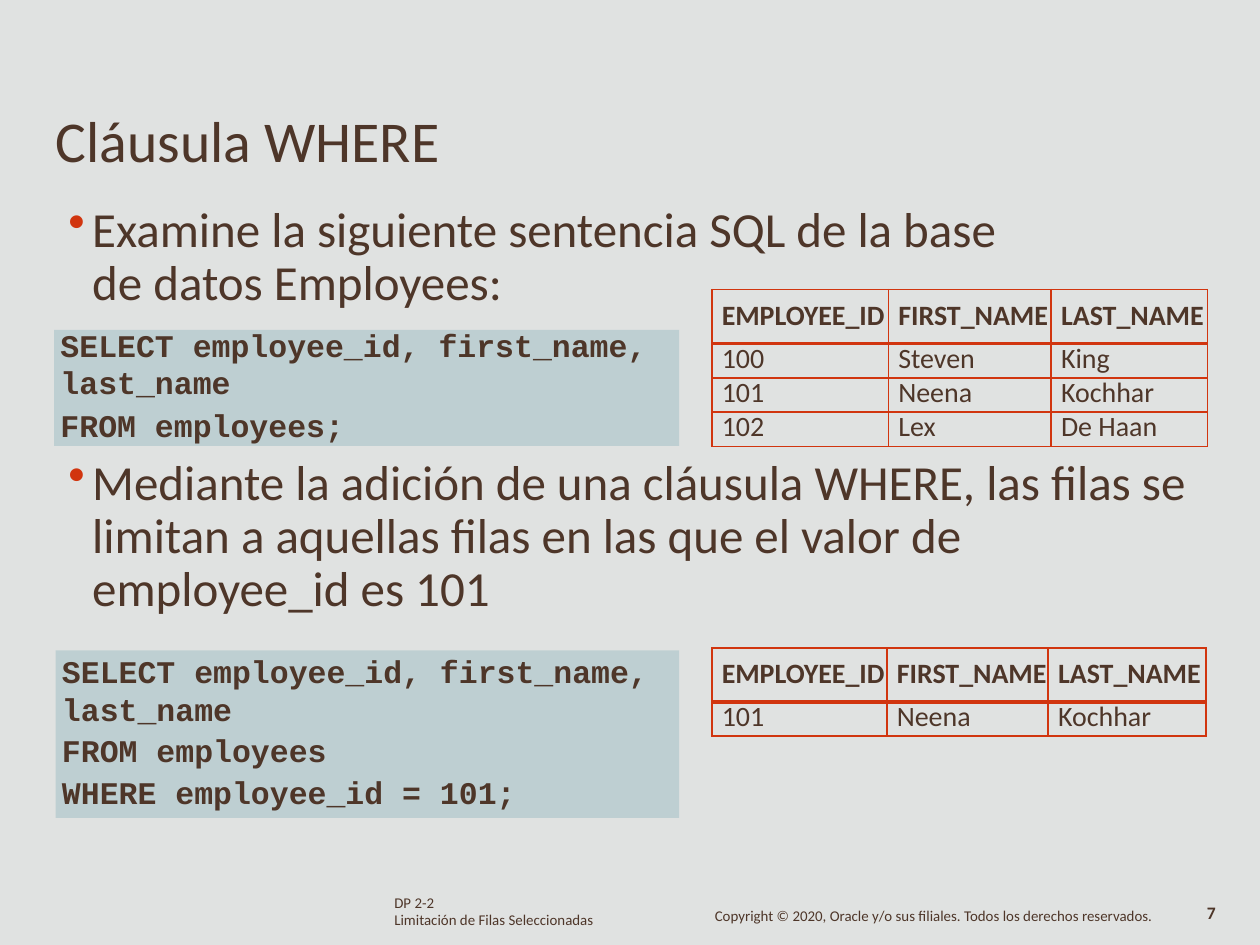
from dataclasses import dataclass

from lxml import etree
from pptx import Presentation
from pptx.dml.color import RGBColor
from pptx.enum.shapes import MSO_SHAPE
from pptx.enum.text import MSO_ANCHOR, MSO_AUTO_SIZE, PP_ALIGN
from pptx.oxml.ns import qn
from pptx.util import Cm, Pt

RECTANGLE = MSO_SHAPE.RECTANGLE
TOP = MSO_ANCHOR.TOP
NO_AUTOFIT = MSO_AUTO_SIZE.NONE
LEFT = PP_ALIGN.LEFT

BROWN = "4E3629"
RED = "D1350F"
TEAL = "9DBEC4"
GREY = "E0E2E1"
HEADERS = ["EMPLOYEE_ID", "FIRST_NAME", "LAST_NAME"]


@dataclass
class Area:
    left: float
    top: float
    width: float
    height: float

    def lengths(self) -> list:
        return [Cm(value) for value in (self.left, self.top, self.width, self.height)]


@dataclass
class Style:
    size: float
    font: str = "Calibri"
    bold: bool = False
    margin: float = 0.03
    indent: float = 0
    bullet: str = ""


@dataclass
class Line:
    text: str
    spacing: float = 0
    before: float = 0


@dataclass
class TextBlock:
    area: Area
    style: Style
    lines: list[Line]
    inset: float = 0


@dataclass
class ResultTable:
    left: float
    top: float
    widths: list[float]
    rows: list[list[str]]


TITLE = Style(33)
FOOTER = Style(8.5)
NUMBER = Style(10, bold=True, margin=0.1)
BULLET = Style(28, margin=0.51, indent=-0.48, bullet="•")
CODE = Style(18, font="Courier New", bold=True, margin=0.13)
HEADER_CELL = Style(16, bold=True, margin=0.2)
BODY_CELL = Style(16, margin=0.2)

TITLE_BLOCK = TextBlock(Area(1.09, 1.07, 23.22, 2.49), TITLE, [Line("Cláusula WHERE")], 1.04)

TEXT_BLOCKS = [
    TextBlock(Area(7.92, 18.08, 4.09, 0.69), FOOTER,
              [Line("DP 2-2", 8.6), Line("Limitación de Filas Seleccionadas", 9.7)]),
    TextBlock(Area(24.23, 18.24, 0.61, 0.43), NUMBER, [Line("7", 10.4)]),
    TextBlock(Area(14.38, 18.31, 8.94, 0.38), FOOTER,
              [Line("Copyright © 2020, Oracle y/o sus filiales. "
                    "Todos los derechos reservados.", 9.1)]),
    TextBlock(Area(1.35, 3.94, 18.77, 2.31), BULLET,
              [Line("Examine la siguiente sentencia SQL de la base "
                    "de datos Employees:", 30.3)], 0.18),
    TextBlock(Area(1.35, 9.04, 22.63, 3.38), BULLET,
              [Line("Mediante la adición de una cláusula WHERE, las filas se "
                    "limitan a aquellas filas en las que el valor de "
                    "employee_id es 101", 30.3)], 0.18),
]

RESULT_TABLES = [
    ResultTable(14.35, 5.84, [3.56, 3.28, 3.15],
                [["100", "Steven", "King"], ["101", "Neena", "Kochhar"],
                 ["102", "Lex", "De Haan"]]),
    ResultTable(14.35, 13.06, [3.53, 3.25, 3.18], [["101", "Neena", "Kochhar"]]),
]

CODE_BLOCKS = [
    TextBlock(Area(1.09, 6.65, 12.6, 2.34), CODE,
              [Line("SELECT employee_id, first_name,", 19.2), Line("last_name"),
               Line("FROM employees;", before=2.6)]),
    TextBlock(Area(1.12, 13.11, 12.57, 3.38), CODE,
              [Line("SELECT employee_id, first_name, last_name"),
               Line("FROM employees", before=2.2),
               Line("WHERE employee_id = 101;", before=2.1)], 0.03),
]


def color(value: str) -> RGBColor:
    return RGBColor.from_string(value)


def add_color(parent, value: str) -> None:
    etree.SubElement(parent, qn("a:srgbClr"), val=value)


def write_lines(frame, lines: list[Line], style: Style) -> None:
    for index, line in enumerate(lines):
        para = frame.add_paragraph() if index else frame.paragraphs[0]
        para.text = line.text
        properties = para._p.get_or_add_pPr()
        properties.set("marL", str(Cm(style.margin)))
        properties.set("indent", str(Cm(style.indent)))
        if style.bullet:
            add_color(etree.SubElement(properties, qn("a:buClr")), RED)
            etree.SubElement(properties, qn("a:buChar"), char=style.bullet)
        para.alignment = LEFT
        if line.spacing:
            para.line_spacing = Pt(line.spacing)
        if line.before:
            para.space_before = Pt(line.before)
        para.font.size = Pt(style.size)
        para.font.name = style.font
        para.font.bold = style.bold
        para.font.color.rgb = color(BROWN)


def fill_frame(frame, block: TextBlock) -> None:
    frame.word_wrap = True
    frame.auto_size = NO_AUTOFIT
    frame.vertical_anchor = TOP
    frame.margin_left = frame.margin_right = frame.margin_bottom = 0
    frame.margin_top = Cm(block.inset)
    write_lines(frame, block.lines, block.style)


def add_title(page, block: TextBlock) -> None:
    title = page.shapes.title
    title.left, title.top, title.width, title.height = block.area.lengths()
    fill_frame(title.text_frame, block)


def add_text(page, block: TextBlock) -> None:
    box = page.shapes.add_textbox(*block.area.lengths())
    fill_frame(box.text_frame, block)


def add_code(page, block: TextBlock) -> None:
    panel = page.shapes.add_shape(RECTANGLE, *block.area.lengths())
    panel.shadow.inherit = False
    panel.line.fill.background()
    panel.fill.solid()
    panel.fill.fore_color.rgb = color(TEAL)
    for shade in panel._element.spPr.iter(qn("a:srgbClr")):
        etree.SubElement(shade, qn("a:alpha"), val="50000")
    fill_frame(panel.text_frame, block)


def add_borders(cell, top: float, bottom: float) -> None:
    properties = cell._tc.get_or_add_tcPr()
    for side, width in (("L", 1), ("R", 1), ("T", top), ("B", bottom)):
        border = etree.SubElement(properties, qn(f"a:ln{side}"), w=str(Pt(width)))
        add_color(etree.SubElement(border, qn("a:solidFill")), RED)


def add_result(page, result: ResultTable) -> None:
    rows = [HEADERS, *result.rows]
    heights = [1.09] + [0.69] * len(result.rows)
    area = Area(result.left, result.top, sum(result.widths), sum(heights))
    table = page.shapes.add_table(len(rows), len(HEADERS), *area.lengths()).table
    table.horz_banding = False
    for column, width in zip(table.columns, result.widths):
        column.width = Cm(width)
    for index, (values, height) in enumerate(zip(rows, heights)):
        table.rows[index].height = Cm(height)
        is_header = index == 0
        for position, value in enumerate(values):
            cell = table.cell(index, position)
            cell.margin_left = cell.margin_right = cell.margin_bottom = 0
            cell.margin_top = Cm(0.18 if is_header else 0)
            add_borders(cell, 2.25 if index == 1 else 1, 2.25 if is_header else 1)
            cell.fill.background()
            write_lines(cell.text_frame, [Line(value, 0 if is_header else 18.2)],
                        HEADER_CELL if is_header else BODY_CELL)


def main() -> None:
    deck = Presentation()
    deck.slide_width, deck.slide_height = Cm(25.4), Cm(19.05)
    page = deck.slides.add_slide(deck.slide_layouts[5])
    page.background.fill.solid()
    page.background.fill.fore_color.rgb = color(GREY)
    add_title(page, TITLE_BLOCK)
    for block in TEXT_BLOCKS:
        add_text(page, block)
    for result in RESULT_TABLES:
        add_result(page, result)
    for block in CODE_BLOCKS:
        add_code(page, block)
    deck.save("out.pptx")


if __name__ == "__main__":
    main()
